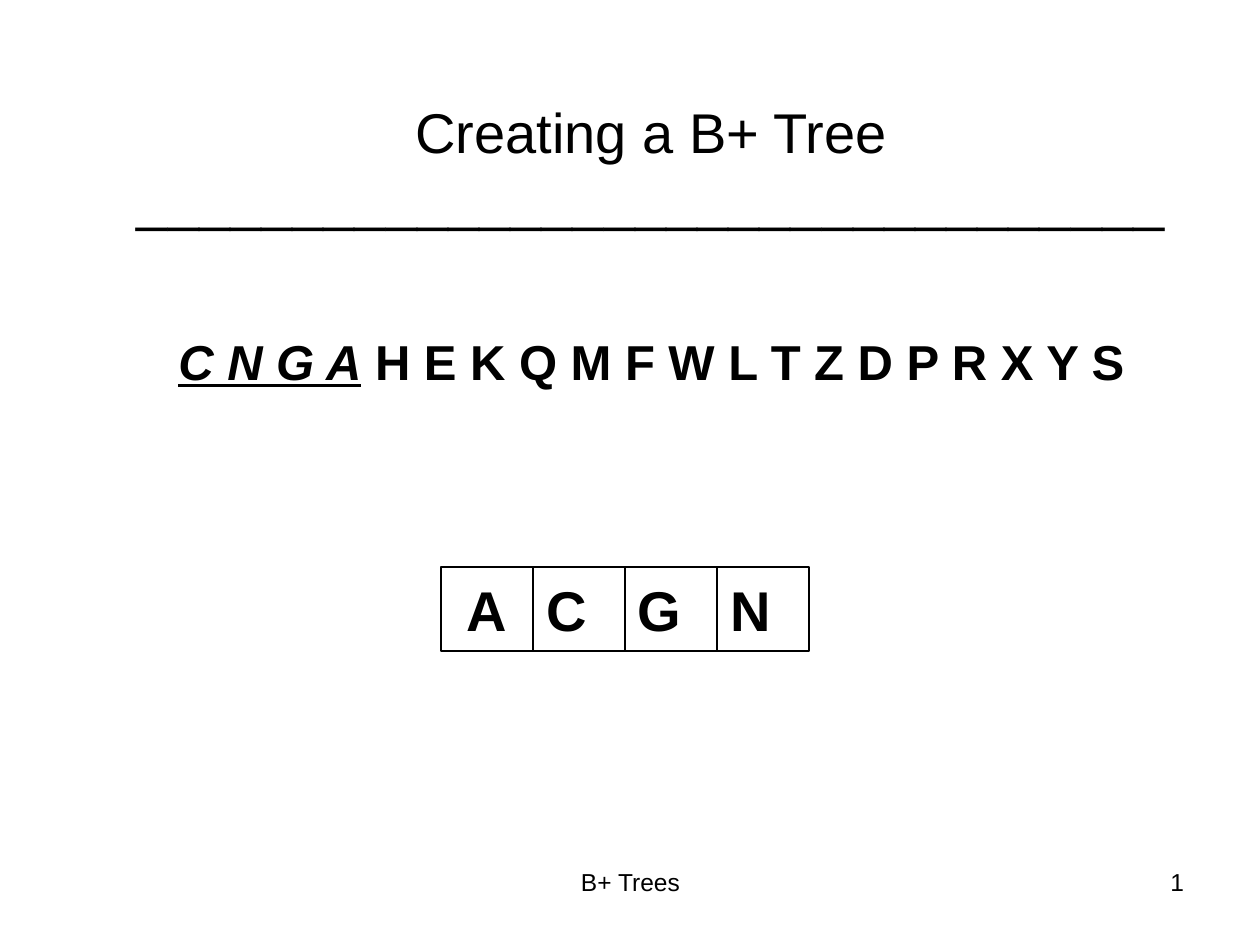
from dataclasses import dataclass

from pptx import Presentation
from pptx.dml.color import RGBColor
from pptx.enum.shapes import MSO_SHAPE
from pptx.enum.text import MSO_ANCHOR, MSO_AUTO_SIZE, PP_ALIGN
from pptx.util import Pt

RECTANGLE = MSO_SHAPE.RECTANGLE
TOP, MIDDLE = MSO_ANCHOR.TOP, MSO_ANCHOR.MIDDLE
NO_AUTOFIT = MSO_AUTO_SIZE.NONE
LEFT, CENTER, RIGHT = PP_ALIGN.LEFT, PP_ALIGN.CENTER, PP_ALIGN.RIGHT
EMU_PER_PX = 914400 / 126


@dataclass(frozen=True)
class Theme:
    font: str = "Arial"
    ink: RGBColor = RGBColor(0, 0, 0)
    paper: RGBColor = RGBColor(255, 255, 255)
    title: int = 32
    keys: int = 28
    node: int = 32
    footer: int = 14
    border: float = 0.75


THEME = Theme()


def px(length):
    return round(length * EMU_PER_PX)


def place(box):
    return [px(length) for length in box]


def format_frame(frame, align, anchor=TOP):
    frame.word_wrap = True
    frame.auto_size = NO_AUTOFIT
    frame.vertical_anchor = anchor
    frame.margin_left = frame.margin_right = px(13)
    frame.margin_top = frame.margin_bottom = px(6)
    paragraph = frame.paragraphs[0]
    paragraph.alignment = align
    return paragraph


def add_run(paragraph, text, size, bold=False, marked=False):
    run = paragraph.add_run()
    run.text = text
    font = run.font
    font.name, font.size = THEME.font, Pt(size)
    font.bold, font.italic, font.underline = bold, marked, marked
    font.color.rgb = THEME.ink


def add_title(slide, box):
    title = slide.shapes.title
    title.left, title.top, title.width, title.height = place(box)
    paragraph = format_frame(title.text_frame, CENTER, MIDDLE)
    add_run(paragraph, "Creating a B+ Tree", THEME.title)
    paragraph.add_line_break()
    add_run(paragraph, "_" * 33, THEME.title)


def add_key_sequence(slide, box, inserted, pending):
    sequence = slide.shapes.add_textbox(*place(box))
    paragraph = format_frame(sequence.text_frame, CENTER)
    paragraph.space_before = Pt(7)
    add_run(paragraph, inserted, THEME.keys, bold=True, marked=True)
    add_run(paragraph, pending, THEME.keys, bold=True)


def add_node(slide, box, keys):
    left, top, width, height = box
    key_width = width // len(keys)
    node = slide.shapes.add_group_shape()
    for index, key in enumerate(keys):
        cell_box = (left + index * key_width, top, key_width, height)
        cell = node.shapes.add_shape(RECTANGLE, *place(cell_box))
        cell.shadow.inherit = False
        cell.fill.solid()
        cell.fill.fore_color.rgb = THEME.paper
        cell.line.color.rgb = THEME.ink
        cell.line.width = Pt(THEME.border)
        align = CENTER if index == 0 else LEFT
        paragraph = format_frame(cell.text_frame, align, MIDDLE)
        add_run(paragraph, key, THEME.node, bold=True)


def add_footer(slide, box, text, align):
    footer = slide.shapes.add_textbox(*place(box))
    add_run(format_frame(footer.text_frame, align), text, THEME.footer)


def main():
    deck = Presentation()
    deck.slide_width, deck.slide_height = px(1260), px(945)
    slide = deck.slides.add_slide(deck.slide_layouts[5])
    add_title(slide, (116, 63, 1071, 203))
    add_key_sequence(slide, (116, 325, 1071, 546),
                     "C N G A", " H E K Q M F W L T Z D P R X Y S")
    add_node(slide, (441, 567, 368, 84), "ACGN")
    add_footer(slide, (431, 861, 399, 66), "B+ Trees", CENTER)
    add_footer(slide, (903, 861, 294, 66), "1", RIGHT)
    deck.save("out.pptx")


if __name__ == "__main__":
    main()
